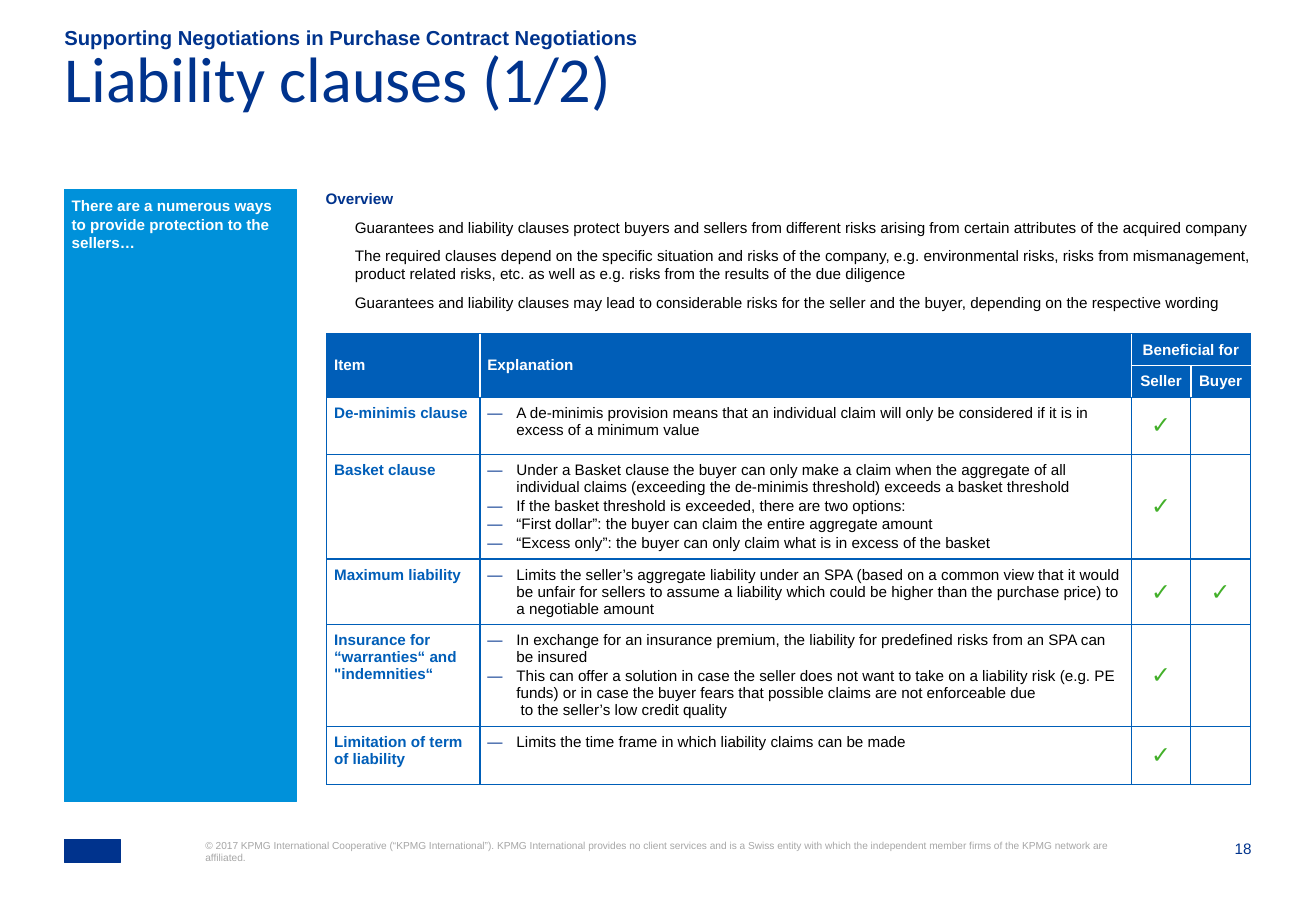
from dataclasses import dataclass

from lxml import etree
from pptx import Presentation
from pptx import util as u
from pptx.dml import color
from pptx.enum import shapes, text
from pptx.oxml import ns

LEFT, CENTER, RIGHT = text.PP_ALIGN.LEFT, text.PP_ALIGN.CENTER, text.PP_ALIGN.RIGHT
TOP, MIDDLE, BOTTOM = text.MSO_ANCHOR.TOP, text.MSO_ANCHOR.MIDDLE, text.MSO_ANCHOR.BOTTOM


@dataclass(frozen=True)
class Theme:
    navy: str = "00338D"
    blue: str = "005EB8"
    sky: str = "0091DA"
    green: str = "43B02A"
    grey: str = "A6A6A6"
    black: str = "000000"
    white: str = "FFFFFF"
    body_font: str = "Arial"
    title_font: str = "Calibri"
    title_size: float = 38
    kicker_size: float = 12
    body_size: float = 9
    check_size: float = 14
    legal_size: float = 6
    inset: float = 0.06
    indent: float = 0.24


class SlideBuilder:
    def __init__(self, slide, theme):
        self.slide = slide
        self.theme = theme

    def apply(self, target, values):
        for name, value in values.items():
            setattr(target, name, value)

    def rgb(self, value):
        return color.RGBColor.from_string(value)

    def node(self, parent, tag, **attributes):
        return etree.SubElement(parent, ns.qn(tag), attributes)

    def margins(self, inset):
        return dict.fromkeys(("margin_left", "margin_top", "margin_right", "margin_bottom"),
                             u.Inches(inset))

    def paragraph(self, paragraph, words, ink, size=None, bold=False, font=None,
                  dash=False, indent=0.0, **layout):
        properties = paragraph._p.get_or_add_pPr()
        hanging = -indent if dash else 0
        properties.set("marL", str(u.Inches(indent)))
        properties.set("indent", str(u.Inches(hanging)))
        if dash:
            self.node(self.node(properties, "a:buClr"), "a:srgbClr", val=self.theme.navy)
            self.node(properties, "a:buFont", typeface=self.theme.body_font)
            self.node(properties, "a:buChar", char="—")
        else:
            self.node(properties, "a:buNone")
        self.apply(paragraph, {"alignment": LEFT, "space_before": u.Pt(0), **layout})
        paragraph.text = words
        for run in paragraph.runs:
            self.apply(run.font, {"name": font or self.theme.body_font, "bold": bold,
                                  "size": u.Pt(size or self.theme.body_size)})
            run.font.color.rgb = self.rgb(ink)

    def fill_text(self, shape, box, paragraphs, inset=0.0, anchor=TOP):
        self.apply(shape, dict(zip(("left", "top", "width", "height"), map(u.Inches, box))))
        frame = shape.text_frame
        self.apply(frame, {"word_wrap": True, "auto_size": text.MSO_AUTO_SIZE.NONE,
                           "vertical_anchor": anchor, **self.margins(inset)})
        for index, content in enumerate(paragraphs):
            self.paragraph(frame.add_paragraph() if index else frame.paragraphs[0], **content)

    def placeholder(self, index, box, paragraphs, **frame):
        holder = self.slide.placeholders[index]
        self.fill_text(holder, box, paragraphs, **frame)
        return holder

    def text_box(self, box, **content):
        label = self.slide.shapes.add_textbox(*map(u.Inches, box))
        self.fill_text(label, box, [content])

    def paint(self, shape, fill):
        shape.fill.solid()
        shape.fill.fore_color.rgb = self.rgb(fill)
        shape.line.color.rgb = self.rgb(fill)
        shape.line.width = u.Pt(0.75)

    def block(self, box, fill):
        mark = self.slide.shapes.add_shape(shapes.MSO_SHAPE.RECTANGLE, *map(u.Inches, box))
        mark.shadow.inherit = False
        self.paint(mark, fill)

    def table(self, box, widths, heights):
        grid = self.slide.shapes.add_table(len(heights), len(widths),
                                           *map(u.Inches, box)).table
        self.apply(grid, {"first_row": False, "horz_banding": False})
        for column, width in zip(grid.columns, widths):
            column.width = u.Inches(width)
        for row, height in zip(grid.rows, heights):
            row.height = u.Inches(height)
        return grid

    def cell(self, cell, fill, paragraphs, anchor=TOP, white_sides=()):
        self.apply(cell, {"vertical_anchor": anchor, **self.margins(self.theme.inset)})
        cell.fill.solid()
        cell.fill.fore_color.rgb = self.rgb(fill)
        properties = cell._tc.get_or_add_tcPr()
        for position, side in enumerate("LRTB"):
            ink, width = ((self.theme.white, 1) if side in white_sides
                          else (self.theme.blue, 0.75))
            border = etree.Element(ns.qn(f"a:ln{side}"), w=str(u.Pt(width)))
            self.node(self.node(border, "a:solidFill"), "a:srgbClr", val=ink)
            properties.insert(position, border)
        cell.text_frame.paragraphs[0].font.size = u.Pt(self.theme.body_size)
        for index, content in enumerate(paragraphs):
            target = cell.text_frame.add_paragraph() if index else cell.text_frame.paragraphs[0]
            self.paragraph(target, **content, space_before=u.Pt(1 if index else 0))


HEADER = [["Item", "Explanation", "Beneficial for", ""], ["", "", "Seller", "Buyer"]]
CLAUSES = [
    ("De-minimis clause",
     ["A de-minimis provision means that an individual claim will only be considered if it is in excess of a minimum value"],
     "✓", ""),
    ("Basket clause",
     ["Under a Basket clause the buyer can only make a claim when the aggregate of all individual claims (exceeding the de-minimis threshold) exceeds a basket threshold",
      "If the basket threshold is exceeded, there are two options:",
      "“First dollar”: the buyer can claim the entire aggregate amount",
      "“Excess only”: the buyer can only claim what is in excess of the basket"],
     "✓", ""),
    ("Maximum liability",
     ["Limits the seller’s aggregate liability under an SPA (based on a common view that it would be unfair for sellers to assume a liability which could be higher than the purchase price) to a negotiable amount"],
     "✓", "✓"),
    ("Insurance for “warranties“ and \"indemnities“",
     ["In exchange for an insurance premium, the liability for predefined risks from an SPA can be insured",
      "This can offer a solution in case the seller does not want to take on a liability risk (e.g. PE funds) or in case the buyer fears that possible claims are not enforceable due\v to the seller’s low credit quality"],
     "✓", ""),
    ("Limitation of term of liability",
     ["Limits the time frame in which liability claims can be made"],
     "✓", ""),
]
OVERVIEW = [
    "Guarantees and liability clauses protect buyers and sellers from different risks arising from certain attributes of the acquired company",
    "The required clauses depend on the specific situation and risks of the company, e.g. environmental risks, risks from mismanagement, product related risks, etc. as well as e.g. risks from the results of the due diligence",
    "Guarantees and liability clauses may lead to considerable risks for the seller and the buyer, depending on the respective wording",
]


def build_clause_table(page, theme):
    grid = page.table((2.69, 2.75, 7.6, 3.7), (1.26, 5.36, 0.49, 0.49),
                      (0.26, 0.26, 0.47, 0.86, 0.54, 0.83, 0.48))
    for start, end in (((0, 0), (1, 0)), ((0, 1), (1, 1)), ((0, 2), (0, 3))):
        grid.cell(*start).merge(grid.cell(*end))
    for r, labels in enumerate(HEADER):
        for c, label in enumerate(labels):
            white_sides = {side for side, shown in {
                "L": c > 0 and (r, c) != (0, 3), "R": c < 3 and (r, c) != (0, 2),
                "T": r == 1 and c > 1, "B": r == 0 and c > 1}.items() if shown}
            content = [dict(words=label, ink=theme.white, bold=True,
                            alignment=CENTER if c > 1 else LEFT)] if label else []
            page.cell(grid.cell(r, c), theme.blue, content, MIDDLE, white_sides)
    for r, (item, explanation, *checks) in enumerate(CLAUSES, len(HEADER)):
        page.cell(grid.cell(r, 0), theme.white, [dict(words=item, ink=theme.blue, bold=True)])
        page.cell(grid.cell(r, 1), theme.white,
                  [dict(words=point, ink=theme.black, dash=True, indent=theme.indent)
                   for point in explanation])
        for c, check in enumerate(checks, 2):
            content = [dict(words=check, ink=theme.green, size=theme.check_size,
                            alignment=CENTER)] if check else []
            page.cell(grid.cell(r, c), theme.white, content, MIDDLE)


def main():
    theme = Theme()
    deck = Presentation()
    deck.slide_width, deck.slide_height = u.Inches(10.83), u.Inches(7.5)
    page = SlideBuilder(deck.slides.add_slide(deck.slide_layouts.get_by_name("Comparison")), theme)
    gap = u.Pt(6)

    page.placeholder(0, (0.53, 0.49, 9.75, 0.79), [
        dict(words="Liability clauses (1/2)", ink=theme.navy, size=theme.title_size,
             font=theme.title_font, line_spacing=0.7)])
    page.placeholder(1, (0.53, 0.22, 9.4, 0.19), [
        dict(words="Supporting Negotiations in Purchase Contract Negotiations",
             ink=theme.navy, size=theme.kicker_size, bold=True)], anchor=BOTTOM)
    sidebar = page.placeholder(3, (0.53, 1.56, 1.91, 5.04), [
        dict(words="There are a numerous ways to provide protection to the sellers…",
             ink=theme.white, bold=True, space_after=gap)], inset=theme.inset)
    page.paint(sidebar, theme.sky)
    page.placeholder(2, (2.68, 1.56, 7.62, 1.95), [
        dict(words="Overview", ink=theme.navy, bold=True, space_after=gap),
        *(dict(words=point, ink=theme.black, indent=theme.indent, space_after=gap)
          for point in OVERVIEW)])
    unused = page.slide.placeholders[4].element
    unused.getparent().remove(unused)

    build_clause_table(page, theme)

    page.block((0.53, 6.91, 0.46, 0.19), theme.navy)
    page.text_box((1.69, 6.91, 7.49, 0.41), ink=theme.grey, size=theme.legal_size,
                  words="© 2017 KPMG International Cooperative (“KPMG International”). KPMG International provides no client services and is a Swiss entity with which the independent member firms of the KPMG network are affiliated.")
    page.text_box((9.87, 6.91, 0.43, 0.16), words="18", ink=theme.navy, alignment=RIGHT)
    deck.save("out.pptx")


if __name__ == "__main__":
    main()
